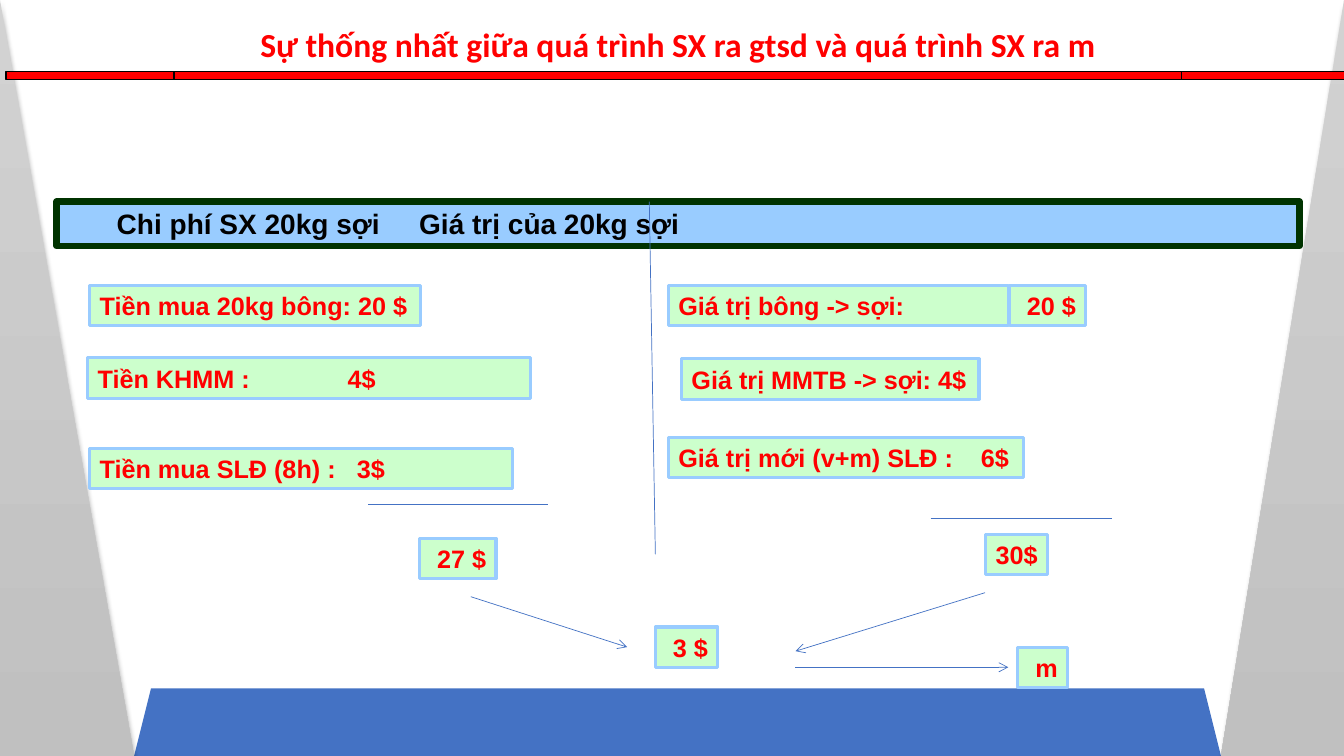
from lxml import etree
from pptx import Presentation
from pptx.dml.color import RGBColor
from pptx.enum.shapes import MSO_CONNECTOR, MSO_SHAPE
from pptx.enum.text import MSO_ANCHOR, PP_ALIGN
from pptx.oxml import parse_xml
from pptx.oxml.ns import qn
from pptx.util import Inches, Pt

RECT, TRIANGLE = MSO_SHAPE.RECTANGLE, MSO_SHAPE.RIGHT_TRIANGLE
TRAPEZOID, BAR = MSO_SHAPE.TRAPEZOID, MSO_SHAPE.FLOWCHART_PREDEFINED_PROCESS
STRAIGHT, MIDDLE = MSO_CONNECTOR.STRAIGHT, MSO_ANCHOR.MIDDLE
LEFT, CENTER, RIGHT = PP_ALIGN.LEFT, PP_ALIGN.CENTER, PP_ALIGN.RIGHT
A_NS = "http://schemas.openxmlformats.org/drawingml/2006/main"

BLUE, RED, SKY, MINT = "4472C4", "FF0000", "99CCFF", "CCFFCC"
BOX_HEIGHT = 0.4

TITLE = "Sự thống nhất giữa quá trình SX ra gtsd và quá trình SX ra m"
HEADER = "Chi phí SX 20kg sợi\tGiá trị của 20kg sợi"
SIDE_PANELS = [(0, 1.33, False), (12.11, 1.22, True)]

# text, left, top, width, tab position
ITEMS = [
    ("Tiền mua 20kg bông: 20 $", 0.89, 2.83, 3.28, None),
    ("Tiền KHMM :\t4$", 0.87, 3.55, 4.39, 2.48),
    ("Tiền mua SLĐ (8h) :\t3$", 0.89, 4.45, 4.19, 2.55),
    ("Giá trị bông -> sợi:", 6.63, 2.83, 3.37, None),
    ("Giá trị MMTB -> sợi: 4$", 6.76, 3.56, 2.95, None),
    ("Giá trị mới (v+m) SLĐ :\t6$", 6.63, 4.34, 3.52, 3.0),
]
# text, left, top, width
RESULTS = [
    ("20 $", 10.01, 2.83, 0.76),
    ("27 $", 4.16, 5.34, 0.76),
    ("30$", 9.77, 5.3, 0.62),
    ("3 $", 6.5, 6.22, 0.62),
    ("m", 10.09, 6.42, 0.5),
]
# start x, start y, end x, end y
RULES = [(6.44, 2, 6.5, 5.5), (3.65, 5, 5.44, 5), (9.23, 5.14, 11.03, 5.14)]
ARROWS = [(4.67, 5.92, 6.22, 6.42), (9.77, 5.88, 7.89, 6.46), (7.89, 6.62, 10, 6.62)]


def color(hex_code):
    return RGBColor.from_string(hex_code)


def add_block(slide, kind, place, fill, line=None, line_width=1):
    block = slide.shapes.add_shape(kind, *map(Inches, place))
    block.shadow.inherit = False
    block.fill.solid()
    block.fill.fore_color.rgb = color(fill)
    if line:
        block.line.color.rgb = color(line)
        block.line.width = Pt(line_width)
    else:
        block.line.fill.background()
    return block


def write(block, text, size, ink, font="Arial", align=LEFT, tab=None, indent=0):
    frame = block.text_frame
    frame.word_wrap = True
    frame.vertical_anchor = MIDDLE
    frame.margin_right = Inches(0 if align == LEFT else 0.1)
    paragraph = frame.paragraphs[0]
    paragraph.text = text
    paragraph.alignment = align
    properties = paragraph._p.get_or_add_pPr()
    if indent:
        properties.set("marL", str(Inches(indent)))
        properties.set("indent", "0")
    if tab:
        stops = etree.SubElement(properties, qn("a:tabLst"))
        etree.SubElement(stops, qn("a:tab"), pos=str(Inches(tab)), algn="l")
    paragraph.font.size = Pt(size)
    paragraph.font.name = font
    paragraph.font.bold = True
    paragraph.font.color.rgb = color(ink)


def add_side_panel(slide, left, width, mirrored):
    panel = add_block(slide, TRIANGLE, (left, 0, width, 7.5), "C8C8C8")
    panel.fill.gradient()
    panel.fill.gradient_angle = 270
    for stop, shade in zip(panel.fill.gradient_stops, ("D2D2D2", "C0C0C0")):
        stop.color.rgb = color(shade)
    if mirrored:
        panel._element.spPr.find(qn("a:xfrm")).set("flipH", "1")
    effects = panel._element.spPr.find(qn("a:effectLst"))
    effects.append(parse_xml(
        f'<a:outerShdw xmlns:a="{A_NS}" blurRad="{Pt(3.5)}" dist="{Pt(2.2)}" dir="5400000">'
        '<a:srgbClr val="000000"><a:alpha val="32000"/></a:srgbClr></a:outerShdw>'))


def add_line(slide, ends, arrow=False):
    line = slide.shapes.add_connector(STRAIGHT, *map(Inches, ends))
    line.line.color.rgb = color(BLUE)
    line.line.width = Pt(0.5)
    if arrow:
        etree.SubElement(line.line._get_or_add_ln(), qn("a:tailEnd"), type="arrow")
    etree.SubElement(line._element.spPr, qn("a:effectLst"))


def main():
    """Build the slide comparing production cost with product value."""
    deck = Presentation()
    deck.slide_width, deck.slide_height = Inches(13.33), Inches(7.5)
    slide = deck.slides.add_slide(deck.slide_layouts[6])

    add_block(slide, TRAPEZOID, (1.33, 6.83, 10.78, 0.67), BLUE)
    for panel in SIDE_PANELS:
        add_side_panel(slide, *panel)

    header = add_block(slide, RECT, (0.56, 2, 12.33, 0.44), SKY, "003300", 4.5)
    write(header, HEADER, 20, "000000", tab=5.02, indent=0.5)
    title = add_block(slide, RECT, (0.39, 0.17, 12.67, 0.58), "FFFFFF")
    write(title, TITLE, 24, RED, font="Calibri", align=CENTER)
    title.text_frame.paragraphs[0].line_spacing = 0.9
    add_block(slide, BAR, (0.06, 0.71, 13.33, 0.08), RED, "000000", 0.75)

    for text, left, top, width, tab in ITEMS:
        item = add_block(slide, RECT, (left, top, width, BOX_HEIGHT), MINT, SKY, 2.25)
        write(item, text, 18, RED, tab=tab)
    for text, left, top, width in RESULTS:
        result = add_block(slide, RECT, (left, top, width, BOX_HEIGHT), MINT, SKY, 2.25)
        write(result, text, 18, RED, align=RIGHT)

    for ends in RULES:
        add_line(slide, ends)
    for ends in ARROWS:
        add_line(slide, ends, arrow=True)

    deck.save("out.pptx")


if __name__ == "__main__":
    main()
